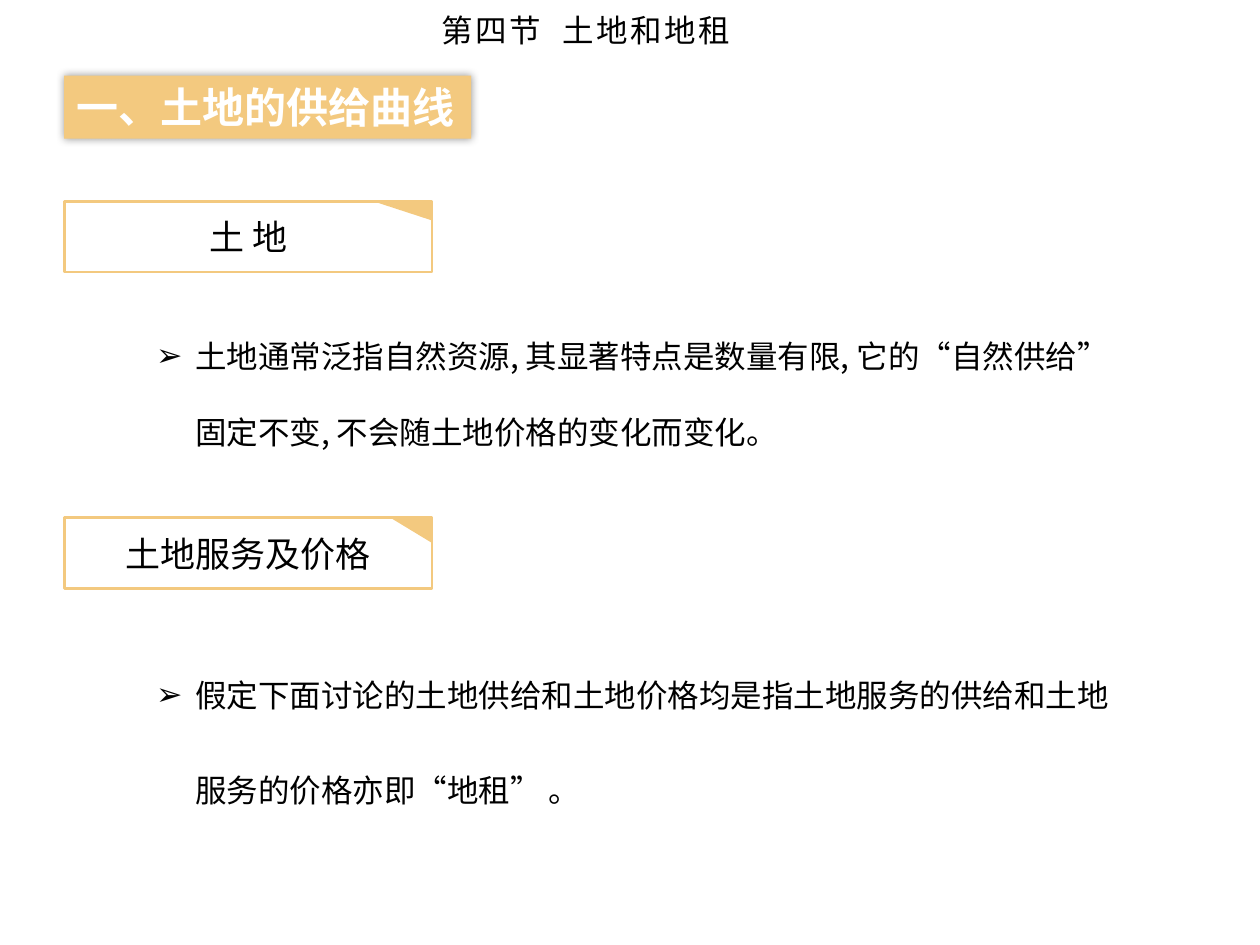
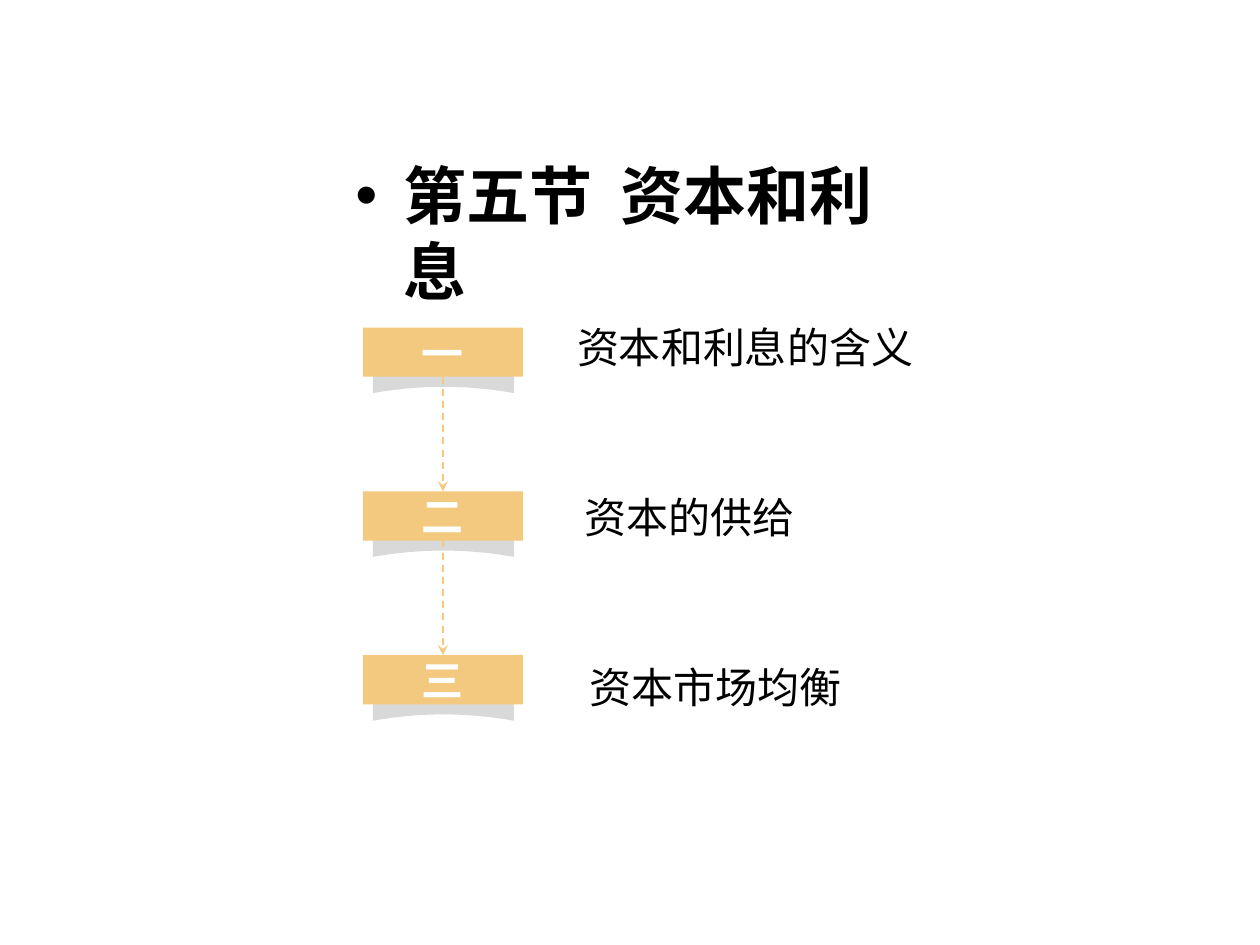
import pptx
import pptx.util
import pptx.dml.color
import pptx.enum.dml
import pptx.enum.lang
import pptx.enum.shapes
import pptx.enum.text
import pptx.oxml
import pptx.oxml.ns
import lxml.etree

Inches = pptx.util.Inches
Pt = pptx.util.Pt
RGBColor = pptx.dml.color.RGBColor
Shape = pptx.enum.shapes.MSO_SHAPE
Align = pptx.enum.text.PP_ALIGN
Anchor = pptx.enum.text.MSO_ANCHOR
qn = pptx.oxml.ns.qn

COLORS = {"gold": "F3C97F", "gray": "D9D9D9", "white": "FFFFFF", "black": "000000"}
FONT = "Noto Sans CJK SC"


def paint(shape, fill, line=None):
    shape.shadow.inherit = False
    shape.fill.solid()
    shape.fill.fore_color.rgb = RGBColor.from_string(COLORS[fill])
    if line:
        shape.line.color.rgb = RGBColor.from_string(COLORS[line])
        shape.line.width = Pt(1.5)
    else:
        shape.line.fill.background()


def write(shape, text, size, color="black", bold=False, align=Align.LEFT, anchor=Anchor.MIDDLE,
          wrap=True, spacing=0, bullet=None, indent=0, line_height=None, insets=(0.1, 0.05, 0.1, 0.05)):
    frame = shape.text_frame
    frame_format = {"auto_size": pptx.enum.text.MSO_AUTO_SIZE.NONE, "word_wrap": wrap, "vertical_anchor": anchor}
    for side, inset in zip(("left", "top", "right", "bottom"), insets):
        frame_format[f"margin_{side}"] = Inches(inset)
    for name, value in frame_format.items():
        setattr(frame, name, value)
    paragraph = frame.paragraphs[0]
    paragraph.alignment = align
    if bullet:
        properties = paragraph._p.get_or_add_pPr()
        properties.set("marL", str(Inches(indent)))
        properties.set("indent", str(-Inches(indent)))
        lxml.etree.SubElement(properties, qn("a:buFont")).set("typeface", "Arial")
        lxml.etree.SubElement(properties, qn("a:buChar")).set("char", bullet)
    if line_height:
        paragraph.line_spacing = Pt(line_height)
    run = paragraph.add_run()
    run.text = text
    font_format = {"name": FONT, "size": Pt(size), "bold": bold,
                   "language_id": pptx.enum.lang.MSO_LANGUAGE_ID.SIMPLIFIED_CHINESE}
    for name, value in font_format.items():
        setattr(run.font, name, value)
    run.font.color.rgb = RGBColor.from_string(COLORS[color])
    run_properties = run._r.get_or_add_rPr()
    lxml.etree.SubElement(run_properties, qn("a:ea")).set("typeface", FONT)
    if spacing:
        run_properties.set("spc", str(int(spacing * 100)))


presentation = pptx.Presentation()
presentation.slide_width = Inches(10)
presentation.slide_height = Inches(7.5)
title_only = presentation.slide_layouts[5]

titles = [
    ("第四节  土地和地租", (3.4, 0.01, 6.43, 0.45), {"size": 18, "spacing": 1.5}),
    ("第五节  资本和利息", (2.72, 1.15, 4.57, 1.3),
     {"size": 36, "bold": True, "anchor": Anchor.TOP, "bullet": "•", "indent": 0.38,
      "line_height": 42.9, "insets": (0.1, 0.1, 0.1, 0.05)}),
]
slides = []
for text, box, text_format in titles:
    slide = presentation.slides.add_slide(title_only)
    title = slide.shapes.title
    for name, value in zip(("left", "top", "width", "height"), box):
        setattr(title, name, Inches(value))
    write(title, text, **text_format)
    slides.append(slide)

land_slide, capital_slide = slides

heading = land_slide.shapes.add_shape(Shape.RECTANGLE, Inches(0.51), Inches(0.6), Inches(3.23), Inches(0.5))
paint(heading, "gold")
write(heading, "一、土地的供给曲线", 24, "white", bold=True, wrap=False)
effects = heading._element.spPr.find(qn("a:effectLst"))
shadow = lxml.etree.SubElement(effects, qn("a:outerShdw"), blurRad=str(Pt(5)), dist="0", dir="0")
shadow_color = lxml.etree.SubElement(shadow, qn("a:srgbClr"), val=COLORS["black"])
lxml.etree.SubElement(shadow_color, qn("a:alpha"), val="40000")

topics = [
    ("土 地", 1.6, (0.46, 0.15), 2.32, 1.83, 43.4,
     "土地通常泛指自然资源, 其显著特点是数量有限, 它的“自然供给” 固定不变, 不会随土地价格的变化而变化。"),
    ("土地服务及价格", 4.11, (0.33, 0.2), 4.86, 1.83, 54.3,
     "假定下面讨论的土地供给和土地价格均是指土地服务的供给和土地服务的价格亦即“地租” 。"),
]
label_left, label_width = 0.51, 2.92
for label_text, label_top, (fold_width, fold_height), body_top, body_height, line_height, body_text in topics:
    label = land_slide.shapes.add_shape(
        Shape.RECTANGLE, Inches(label_left), Inches(label_top), Inches(label_width), Inches(0.56))
    paint(label, "white", "gold")
    write(label, label_text, 20, align=Align.CENTER, insets=(0, 0, 0, 0))
    fold = land_slide.shapes.add_shape(
        Shape.RIGHT_TRIANGLE, Inches(label_left + label_width - fold_width), Inches(label_top),
        Inches(fold_width), Inches(fold_height))
    fold.rotation = 180
    paint(fold, "gold")
    body = land_slide.shapes.add_textbox(Inches(1.14), Inches(body_top), Inches(7.86), Inches(body_height))
    write(body, body_text, 18, anchor=Anchor.TOP, bullet="➢", indent=0.31, line_height=line_height)

sections = [
    ("一", "资本和利息的含义", 3.98, 2.5, 3.4),
    ("二", "资本的供给", 4.04, 3.85, 2.39),
    ("三", "资本市场均衡", 4.08, 5.2, 2.73),
]
first_top, pitch = 2.6, 1.3
center, half_curl = 3.52, 0.56
number_boxes = []
for index, (number, section_text, text_left, text_top, text_width) in enumerate(sections):
    top = first_top + pitch * index
    curl_top = top + 0.33
    steps = [1 - step / 8 for step in range(17)]
    outline = [(center + half_curl * step, curl_top + 0.14 + 0.05 * step ** 2) for step in steps]
    outline += [(center - half_curl, curl_top + 0.05), (center, curl_top), (center + half_curl, curl_top + 0.05)]
    points = [(Inches(x), Inches(y)) for x, y in outline]
    builder = capital_slide.shapes.build_freeform(*points[0])
    builder.add_line_segments(points[1:], close=True)
    paint(builder.convert_to_shape(), "gray")

    number_box = capital_slide.shapes.add_shape(
        Shape.RECTANGLE, Inches(2.88), Inches(top), Inches(1.27), Inches(0.39))
    paint(number_box, "gold")
    write(number_box, number, 24, "white", bold=True, align=Align.CENTER, spacing=1.5)
    number_boxes.append(number_box)

    section = capital_slide.shapes.add_textbox(
        Inches(text_left), Inches(text_top), Inches(text_width), Inches(0.5))
    write(section, section_text, 24, wrap=False, insets=(0.6, 0.05, 0.1, 0.05))

for upper, lower in zip(number_boxes, number_boxes[1:]):
    arrow = capital_slide.shapes.add_connector(pptx.enum.shapes.MSO_CONNECTOR.STRAIGHT, 0, 0, 0, 0)
    arrow.begin_connect(upper, 2)
    arrow.end_connect(lower, 0)
    arrow.line.color.rgb = RGBColor.from_string(COLORS["gold"])
    arrow.line.width = Pt(1)
    arrow.line.dash_style = pptx.enum.dml.MSO_LINE.DASH
    lxml.etree.SubElement(arrow.line._get_or_add_ln(), qn("a:tailEnd")).set("type", "stealth")
    lxml.etree.SubElement(arrow._element.spPr, qn("a:effectLst"))

presentation.save("out.pptx")
